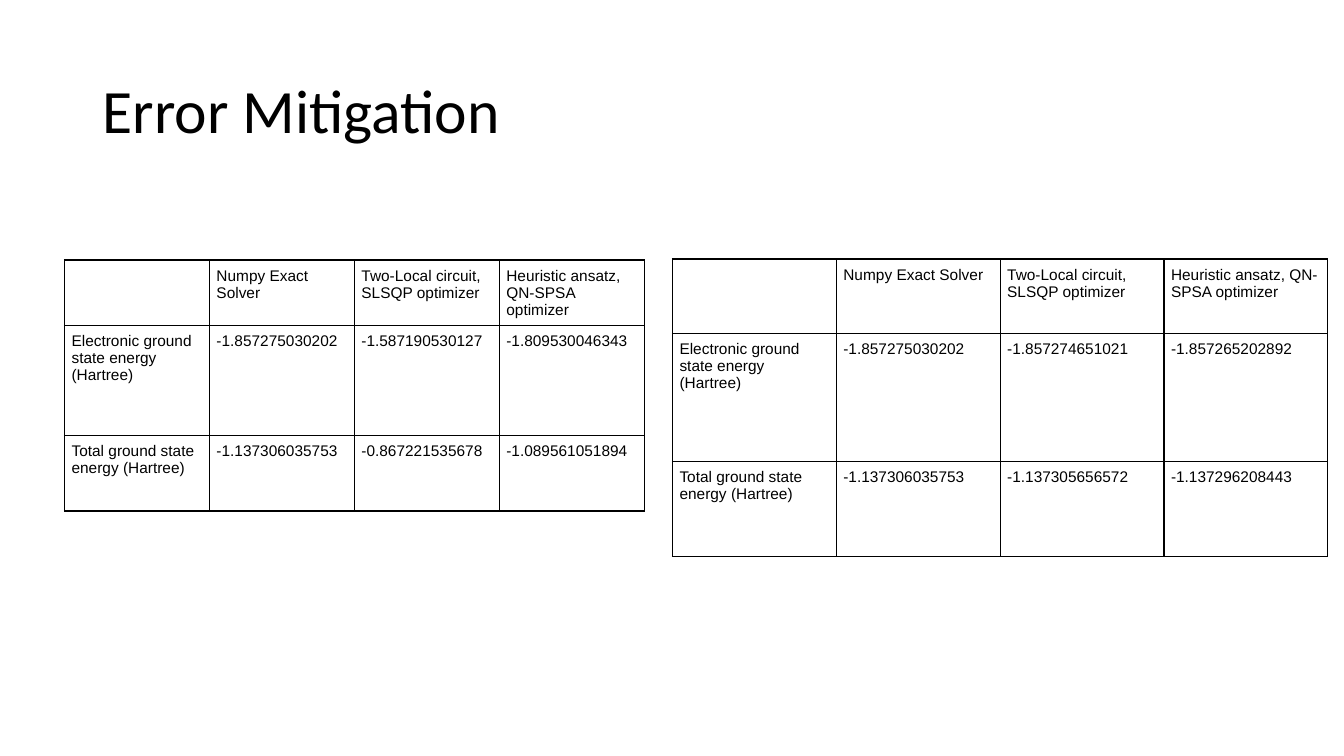
"""Builds the Error Mitigation slide with two energy tables."""
from pptx import Presentation
from pptx.dml.color import RGBColor
from pptx.enum.text import MSO_ANCHOR, PP_ALIGN
from pptx.oxml import parse_xml
from pptx.oxml.ns import nsdecls
from pptx.util import Inches, Pt

COLORS = {"text": "000000", "border": "000000"}
HEADER = ["", "Numpy Exact Solver", "Two-Local circuit, SLSQP optimizer",
          "Heuristic ansatz, QN-SPSA optimizer"]
ELECTRONIC = "Electronic ground state energy (Hartree)"
TOTAL = "Total ground state energy (Hartree)"
LEFT_ROWS = [
    HEADER,
    [ELECTRONIC, "-1.857275030202", "-1.587190530127", "-1.809530046343"],
    [TOTAL, "-1.137306035753", "-0.867221535678", "-1.089561051894"],
]
RIGHT_ROWS = [
    HEADER,
    [ELECTRONIC, "-1.857275030202", "-1.857274651021", "-1.857265202892"],
    [TOTAL, "-1.137306035753", "-1.137305656572", "-1.137296208443"],
]


def format_font(font, name, size):
    font.name = name
    font.size = Pt(size)
    font.bold = False
    font.color.rgb = RGBColor.from_string(COLORS["text"])


def add_title(page, text):
    title = page.shapes.title
    title.left, title.top = Inches(0.92), Inches(0.4)
    title.width, title.height = Inches(11.5), Inches(1.45)
    title.text_frame.text = text
    title.text_frame.vertical_anchor = MSO_ANCHOR.MIDDLE
    paragraph = title.text_frame.paragraphs[0]
    paragraph.alignment = PP_ALIGN.LEFT
    paragraph.line_spacing = 0.9
    format_font(paragraph.runs[0].font, "Calibri", 44)


def add_borders(cell):
    properties = cell._tc.get_or_add_tcPr()
    for side in ("lnL", "lnR", "lnT", "lnB"):
        properties.append(parse_xml(
            f'<a:{side} {nsdecls("a")} w="{Pt(1)}"><a:solidFill>'
            f'<a:srgbClr val="{COLORS["border"]}"/></a:solidFill></a:{side}>'))


def format_cell(cell, text):
    cell.text_frame.text = text
    cell.margin_left = cell.margin_right = Inches(0.07)
    cell.margin_top = cell.margin_bottom = Inches(0.07)
    cell.vertical_anchor = MSO_ANCHOR.TOP
    paragraph = cell.text_frame.paragraphs[0]
    format_font(paragraph.font, "Arial", 11)
    for span in paragraph.runs:
        format_font(span.font, "Arial", 11)
    add_borders(cell)
    cell.fill.background()


def add_energy_table(page, left, top, width, heights, rows):
    frame = page.shapes.add_table(
        len(rows), len(HEADER), Inches(left), Inches(top),
        Inches(width), Inches(sum(heights)))
    table = frame.table
    table.first_row = False
    table.horz_banding = False
    for row, height, texts in zip(table.rows, heights, rows):
        row.height = Inches(height)
        for cell, text in zip(row.cells, texts):
            format_cell(cell, text)


def main():
    deck = Presentation()
    deck.slide_width, deck.slide_height = Inches(13.33), Inches(7.5)
    page = deck.slides.add_slide(deck.slide_layouts[5])
    add_title(page, "Error Mitigation")
    add_energy_table(page, 0.64, 2.58, 5.75, [0.65, 1.09, 0.75], LEFT_ROWS)
    add_energy_table(page, 6.67, 2.57, 6.5, [0.74, 1.27, 0.94], RIGHT_ROWS)
    deck.save("out.pptx")


main()
